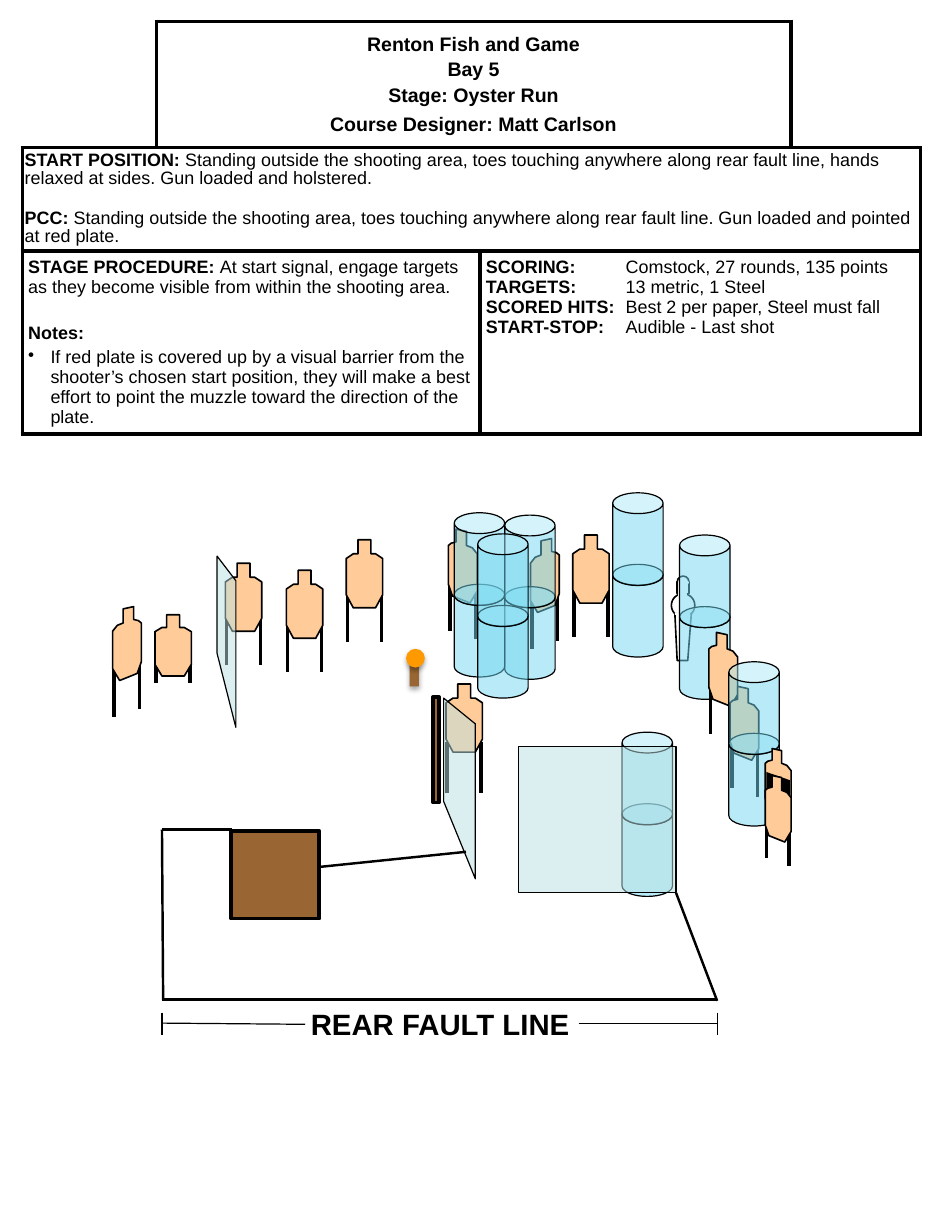
from lxml import etree
from pptx import Presentation
from pptx.dml.color import RGBColor
from pptx.enum.shapes import MSO_CONNECTOR as CONN, MSO_SHAPE as SHAPE
from pptx.enum.text import MSO_ANCHOR as ANCHOR, PP_ALIGN as ALIGN
from pptx.oxml import parse_xml
from pptx.oxml.ns import nsdecls, qn
from pptx.util import Inches, Pt

COLORS = {"black": "000000", "white": "FFFFFF", "skin": "FFCC99", "barrel": "73D9F1",
          "glass": "BBE0E3", "wood": "996633", "plate": "FF9900"}
FONT = "Arial"

# Outlines and legs relative to the top left corner of a target
FRONT = [(.10, 0), (.21, 0), (.21, .12), (.25, .12), (.31, .16), (.31, .47),
         (.25, .58), (.06, .58), (0, .47), (0, .16), (.06, .12), (.10, .12)]
TURNED = [(.09, .02), (.18, 0), (.18, .11), (.22, .12), (.245, .14), (.245, .47),
          (.21, .57), (.06, .63), (0, .53), (0, .21), (.04, .16), (.09, .14)]
TURNED_W = .245


class StageDiagram:
    def __init__(self, slide):
        self.s = slide

    def group(self):
        return self.s.shapes.add_group_shape().shapes

    def paint(self, sp, fill, line=None, width=1, alpha=None):
        sp.shadow.inherit = False
        sp.fill.solid()
        sp.fill.fore_color.rgb = RGBColor.from_string(COLORS[fill])
        if alpha:
            clr = sp._element.spPr.find(qn("a:solidFill"))[0]
            etree.SubElement(clr, qn("a:alpha")).set("val", str(alpha * 1000))
        if line:
            sp.line.color.rgb = RGBColor.from_string(COLORS[line])
            sp.line.width = Pt(width)
        else:
            sp.line.fill.background()
        return sp

    def shape(self, kind, x, y, w, h, fill, line=None, width=1, alpha=None, into=None):
        shapes = into or self.s.shapes
        sp = shapes.add_shape(kind, Inches(x), Inches(y), Inches(w), Inches(h))
        return self.paint(sp, fill, line, width, alpha)

    def line(self, x1, y1, x2, y2, width, into=None):
        shapes = into or self.s.shapes
        c = shapes.add_connector(CONN.STRAIGHT, Inches(x1), Inches(y1), Inches(x2), Inches(y2))
        c.line.color.rgb = RGBColor.from_string(COLORS["black"])
        c.line.width = Pt(width)
        etree.SubElement(c._element.spPr, qn("a:effectLst"))

    def polygon(self, points, fill, line=None, width=1, alpha=None, into=None):
        pts = [(Inches(x), Inches(y)) for x, y in points]
        fb = (into or self.s.shapes).build_freeform(*pts[0])
        fb.add_line_segments(pts[1:], close=True)
        return self.paint(fb.convert_to_shape(), fill, line, width, alpha)

    def glass(self, points):
        self.polygon(points, "glass", "black", .75, 50)

    def barrel(self, x, y):
        g = self.group()
        for top in (y + .61, y):
            sp = self.shape(SHAPE.CAN, x, top, .43, .79, "barrel", "black", .75, 50, g)
            sp.adjustments[0] = .413

    def front_target(self, x, y, scale=1, leg=.43):
        g = self.group()
        for dx in (.01, .30):
            self.line(x + dx, y + leg, x + dx, y + leg + .44, 2.25, g)
        self.polygon([(x + px, y + py * scale) for px, py in FRONT], "skin", "black", into=g)

    def turned_body(self, x, y, mirror, into, scale=1):
        pts = [(TURNED_W - px if mirror else px, py) for px, py in TURNED]
        self.polygon([(x + px * scale, y + py * scale) for px, py in pts],
                     "skin", "black", into=into)

    def turned_target(self, x, y, mirror=False):
        g = self.group()
        for dx, dy in ((.01, .51), (.23, .44)):
            lx = x + (TURNED_W - dx if mirror else dx)
            self.line(lx, y + dy, lx, y + dy + .43, 2.25, g)
        self.turned_body(x, y, mirror, g)

    def shadow(self, sp):
        fx = sp._element.spPr.find(qn("a:effectLst"))
        fx.append(parse_xml(
            f'<a:outerShdw {nsdecls("a")} blurRad="{Pt(3.1)}" dist="{Pt(1.8)}" dir="5400000" '
            'rotWithShape="0"><a:srgbClr val="000000"><a:alpha val="35000"/></a:srgbClr>'
            '</a:outerShdw>'))

    def text(self, tf, paras, size):
        """Each paragraph is (space before, [(text, bold), ...])."""
        for i, (before, runs) in enumerate(paras):
            p = tf.paragraphs[0] if i == 0 else tf.add_paragraph()
            p.space_before = Pt(before)
            for words, bold in runs:
                r = p.add_run()
                r.text = words
                r.font.name, r.font.size, r.font.bold = FONT, Pt(size), bold
                r.font.color.rgb = RGBColor.from_string(COLORS["black"])
        return tf.paragraphs

    def cell(self, cell, sides="LRTB"):
        tcPr = cell._tc.get_or_add_tcPr()
        for side in "LRTB":
            ln = etree.SubElement(tcPr, qn(f"a:ln{side}"), w=str(Pt(2.25)))
            if side in sides:
                fill = etree.SubElement(ln, qn("a:solidFill"))
                etree.SubElement(fill, qn("a:srgbClr"), val=COLORS["black"])
            else:
                etree.SubElement(ln, qn("a:noFill"))
        cell.fill.solid()
        cell.fill.fore_color.rgb = RGBColor.from_string(COLORS["white"])

    def briefing(self):
        cols, rows = (1.14, 2.76, 2.65, 1.1), (1.08, .88, 1.56)
        t = self.s.shapes.add_table(3, 4, Inches(.19), Inches(.18),
                                    Inches(sum(cols)), Inches(sum(rows))).table
        t.first_row = t.horz_banding = False
        for col, w in zip(t.columns, cols):
            col.width = Inches(w)
        for row, h in zip(t.rows, rows):
            row.height = Inches(h)
        corners = {(0, 0): "RB", (0, 3): "LB"}
        for r in range(3):
            for c in range(4):
                self.cell(t.cell(r, c), corners.get((r, c), "LRTB"))
        for first, last in (((0, 1), (0, 2)), ((1, 0), (1, 3)), ((2, 0), (2, 1)), ((2, 2), (2, 3))):
            t.cell(*first).merge(t.cell(*last))
        heading, start, procedure, scoring = (
            t.cell(*at) for at in ((0, 1), (1, 0), (2, 0), (2, 2)))
        for cell, dx, dy in ((heading, .05, .05), (start, .02, .04),
                             (procedure, .05, .05), (scoring, .05, .05)):
            cell.margin_left = cell.margin_right = Inches(dx)
            cell.margin_top = cell.margin_bottom = Inches(dy)

        heading.vertical_anchor = ANCHOR.MIDDLE
        for p in self.text(heading.text_frame, [
                (0, [("Renton Fish and Game", True)]), (2.4, [("Bay 5", True)]),
                (2.4, [("Stage: Oyster Run", True)]),
                (4.2, [("Course Designer: Matt Carlson", True)])], 12):
            p.alignment = ALIGN.CENTER

        for p in self.text(start.text_frame, [
                (0, [("START POSITION:", True),
                     (" Standing outside the shooting area, toes touching anywhere along rear "
                      "fault line, hands relaxed at sides. Gun loaded and holstered.", False)]),
                (13.5, [("PCC: ", True),
                        ("Standing outside the shooting area, toes touching anywhere along rear "
                         "fault line. Gun loaded and pointed at red plate.", False)])], 11):
            p.line_spacing = .9

        note = self.text(procedure.text_frame, [
            (0, [("STAGE PROCEDURE: ", True),
                 ("At start signal, engage targets as they become visible from within the "
                  "shooting area.", False)]),
            (16.5, [("Notes:", True)]),
            (2.4, [("If red plate is covered up by a visual barrier from the shooter’s chosen "
                    "start position, they will make a best effort to point the muzzle toward "
                    "the direction of the plate.", False)])], 11)[-1]
        pPr = note._p.get_or_add_pPr()
        pPr.set("marL", str(Inches(.19)))
        pPr.set("indent", str(-Inches(.19)))
        etree.SubElement(pPr, qn("a:buChar"), char="•")

        scores = (("SCORING:", "Comstock, 27 rounds, 135 points"),
                  ("TARGETS:", "13 metric, 1 Steel"),
                  ("SCORED HITS:", "Best 2 per paper, Steel must fall"),
                  ("START-STOP:", "Audible - Last shot"))
        for p in self.text(scoring.text_frame, [
                (0, [(label, True), ("\t" + value, False)]) for label, value in scores], 11):
            tabs = etree.SubElement(p._p.get_or_add_pPr(), qn("a:tabLst"))
            etree.SubElement(tabs, qn("a:tab"), pos=str(Inches(1.19)), algn="l")

    def popper(self):
        g = self.group()
        self.shape(SHAPE.OVAL, 5.77, 4.91, .1, .1, "white", "black", into=g)
        self.shape(SHAPE.OVAL, 5.72, 5.06, .2, .2, "white", "black", into=g)
        self.polygon([(5.75, 5.23), (5.89, 5.23), (5.86, 5.63), (5.77, 5.63)],
                     "white", "black", into=g)
        self.shape(SHAPE.RECTANGLE, 5.77, 4.96, .1, .1, "white", "black", into=g)
        self.shape(SHAPE.RECTANGLE, 5.75, 5.22, .13, .02, "white", into=g)
        for x, y, w, h in ((5.78, 5.06, .07, .02), (5.78, 4.96, .08, .01)):
            self.shape(SHAPE.RECTANGLE, x, y, w, h, "white", "white", into=g)

    def stacked_target(self):
        g = self.group()
        self.turned_body(6.52, 6.38, True, g, .9)
        self.polygon([(6.73, 6.65), (6.73, 6.86), (6.69, 6.94), (6.56, 6.9),
                      (6.53, 6.81), (6.53, 6.58)], "black", into=g)
        for x, y in ((6.72, 7), (6.53, 6.93)):
            self.line(x, y, x, y + .385, 2.25, g)
        self.turned_body(6.52, 6.61, True, g, .9)


def main():
    prs = Presentation()
    prs.slide_width, prs.slide_height = Inches(8), Inches(10.5)
    d = StageDiagram(prs.slides.add_slide(prs.slide_layouts[6]))

    # Centre targets and the shooting area
    d.barrel(5.3, 6.24)
    d.turned_target(4.52, 4.59)
    d.turned_target(3.82, 4.51, mirror=True)
    d.front_target(3.8, 5.83, leg=.49)
    for ends in ((1.38, 7.07, 1.39, 8.52), (1.38, 8.52, 6.11, 8.52), (1.38, 7.07, 1.98, 7.07)):
        d.line(*ends, 1.5)
    d.shape(SHAPE.RECTANGLE, 1.97, 7.08, .75, .75, "wood", "black", 2.25)
    d.glass([(3.78, 6.83), (4.05, 7.49), (4.05, 6.17), (3.78, 5.95)])

    # Steel popper, left targets and walls
    d.popper()
    d.barrel(5.79, 4.56)
    d.front_target(1.32, 5.24, scale=.9, leg=.14)
    d.front_target(1.92, 4.8)
    d.turned_target(.96, 5.17)
    d.line(6.11, 8.53, 5.76, 7.61, 1.5)
    d.glass([(5.76, 7.61), (4.42, 7.61), (4.42, 6.36), (5.76, 6.36)])
    d.line(2.71, 7.39, 3.97, 7.26, 1.5)
    d.glass([(1.85, 5.57), (2.01, 6.2), (2.01, 4.95), (1.85, 4.74)])
    d.front_target(2.44, 4.86)
    d.front_target(2.95, 4.6)

    # Right targets
    d.turned_target(6.04, 5.39, mirror=True)
    d.turned_target(6.22, 5.85, mirror=True)
    d.barrel(6.21, 5.64)
    d.front_target(4.88, 4.56)
    d.barrel(3.87, 4.37)
    d.stacked_target()

    d.briefing()

    # Rear fault line label and its dimension marks
    tb = d.s.shapes.add_textbox(Inches(2.55), Inches(8.53), Inches(2.43), Inches(.4))
    tb.text_frame.word_wrap = False
    d.text(tb.text_frame, [(0, [("REAR FAULT LINE", True)])], 18)
    for ends in ((1.38, 8.72, 2.6, 8.73), (4.93, 8.72, 6.11, 8.72),
                 (1.38, 8.63, 1.38, 8.82), (6.11, 8.63, 6.11, 8.82)):
        d.line(*ends, .75)

    # Plate on its stand
    g = d.group()
    d.shadow(d.shape(SHAPE.RECTANGLE, 3.49, 5.63, .08, .22, "wood", into=g))
    d.shadow(d.shape(SHAPE.OVAL, 3.46, 5.53, .16, .16, "plate", into=g))

    # Front barrels and post
    for x, y in ((4.3, 4.39), (4.07, 4.55), (5.22, 4.2)):
        d.barrel(x, y)
    d.shape(SHAPE.RECTANGLE, 3.69, 5.94, .05, .9, "wood", "black", 2.25)

    prs.save("out.pptx")


if __name__ == "__main__":
    main()
